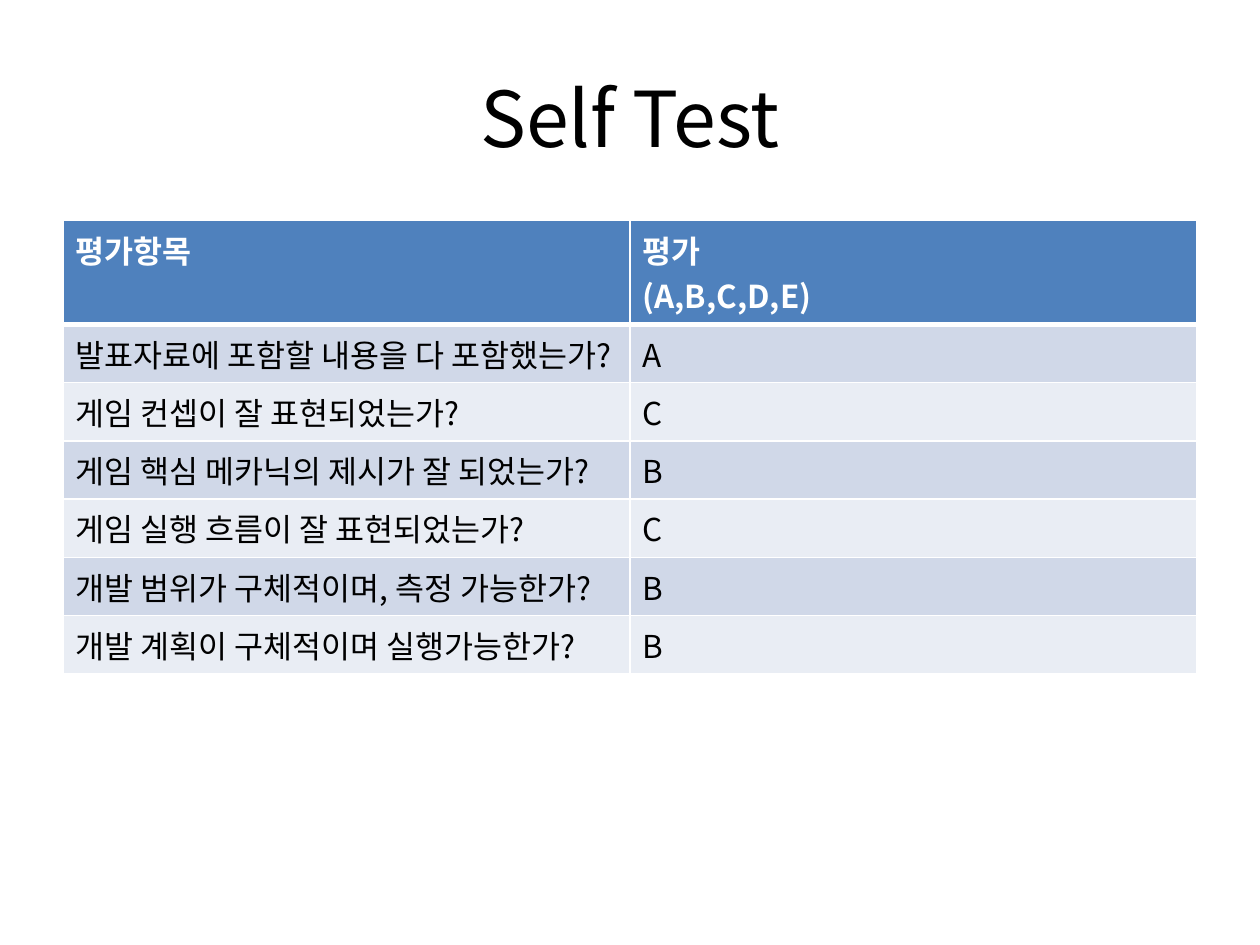
from dataclasses import dataclass

from lxml import etree
from pptx import Presentation
from pptx import util as u
from pptx.dml.color import RGBColor
from pptx.enum import text
from pptx.oxml import ns


@dataclass(frozen=True)
class Theme:
    font: str = "Noto Sans CJK KR"
    title_size: int = 44
    table_size: int = 18
    ink: str = "000000"
    paper: str = "FFFFFF"
    header: str = "4F81BD"
    bands: tuple = ("D0D8E8", "E9EDF4")
    rule: int = 1
    header_rule: int = 3


THEME = Theme()
WIDTH, HEIGHT = u.Inches(10), u.Inches(7.5)
MARGIN = 0.05  # share of the slide width

HEADINGS = ("평가항목", "평가\n(A,B,C,D,E)")
RATINGS = (
    ("발표자료에 포함할 내용을 다 포함했는가?", "A"),
    ("게임 컨셉이 잘 표현되었는가?", "C"),
    ("게임 핵심 메카닉의 제시가 잘 되었는가?", "B"),
    ("게임 실행 흐름이 잘 표현되었는가?", "C"),
    ("개발 범위가 구체적이며, 측정 가능한가?", "B"),
    ("개발 계획이 구체적이며 실행가능한가?", "B"),
)


def write(frame, words, size, color=THEME.ink, bold=False,
          align=text.PP_ALIGN.LEFT):
    """Fill a text frame, one paragraph for each line of words."""
    frame.text = words
    for paragraph in frame.paragraphs:
        paragraph.alignment = align
        for run in paragraph.runs:
            font = run.font
            font.size, font.bold, font.name = u.Pt(size), bold, THEME.font
            font.color.rgb = RGBColor.from_string(color)
            # Korean glyphs use the East Asian typeface
            latin = font._element.find(ns.qn("a:latin"))
            east_asian = etree.Element(ns.qn("a:ea"), typeface=THEME.font)
            latin.addnext(east_asian)


def rule_cell(cell, top, bottom):
    """Draw the four borders of a cell, widths in points."""
    properties = cell._tc.get_or_add_tcPr()
    widths = {"lnL": THEME.rule, "lnR": THEME.rule, "lnT": top, "lnB": bottom}
    for side, width in widths.items():
        line = etree.SubElement(properties, ns.qn(f"a:{side}"),
                                w=str(u.Pt(width)))
        fill = etree.SubElement(line, ns.qn("a:solidFill"))
        etree.SubElement(fill, ns.qn("a:srgbClr"), val=THEME.paper)


def add_title(slide, words):
    title = slide.shapes.title
    title.left, title.top = int(WIDTH * MARGIN), int(HEIGHT * 0.04)
    title.width, title.height = int(WIDTH * (1 - 2 * MARGIN)), u.Inches(1.25)
    title.text_frame.vertical_anchor = text.MSO_ANCHOR.MIDDLE
    write(title.text_frame, words, THEME.title_size,
          align=text.PP_ALIGN.CENTER)


def add_rating_table(slide, headings, ratings):
    rows = (headings, *ratings)
    table_height = u.Inches(4.02)
    holder = slide.shapes.add_table(
        len(rows), len(headings), int(WIDTH * MARGIN), u.Inches(1.75),
        int(WIDTH * (1 - 2 * MARGIN)), table_height)
    table = holder.table
    for row in table.rows:
        row.height = u.Inches(0.41)  # rows grow to fit their text
    holder.height = table_height

    for r, row in enumerate(rows):
        is_header = r == 0
        background = THEME.header if is_header else THEME.bands[(r - 1) % 2]
        top = THEME.header_rule if r == 1 else THEME.rule
        bottom = THEME.header_rule if is_header else THEME.rule
        for c, words in enumerate(row):
            cell = table.cell(r, c)
            rule_cell(cell, top, bottom)
            cell.fill.solid()
            cell.fill.fore_color.rgb = RGBColor.from_string(background)
            write(cell.text_frame, words, THEME.table_size, bold=is_header,
                  color=THEME.paper if is_header else THEME.ink)


def main():
    deck = Presentation()
    deck.slide_width, deck.slide_height = WIDTH, HEIGHT
    slide = deck.slides.add_slide(deck.slide_layouts.get_by_name("Title Only"))
    add_title(slide, "Self Test")
    add_rating_table(slide, HEADINGS, RATINGS)
    deck.save("out.pptx")


if __name__ == "__main__":
    main()
